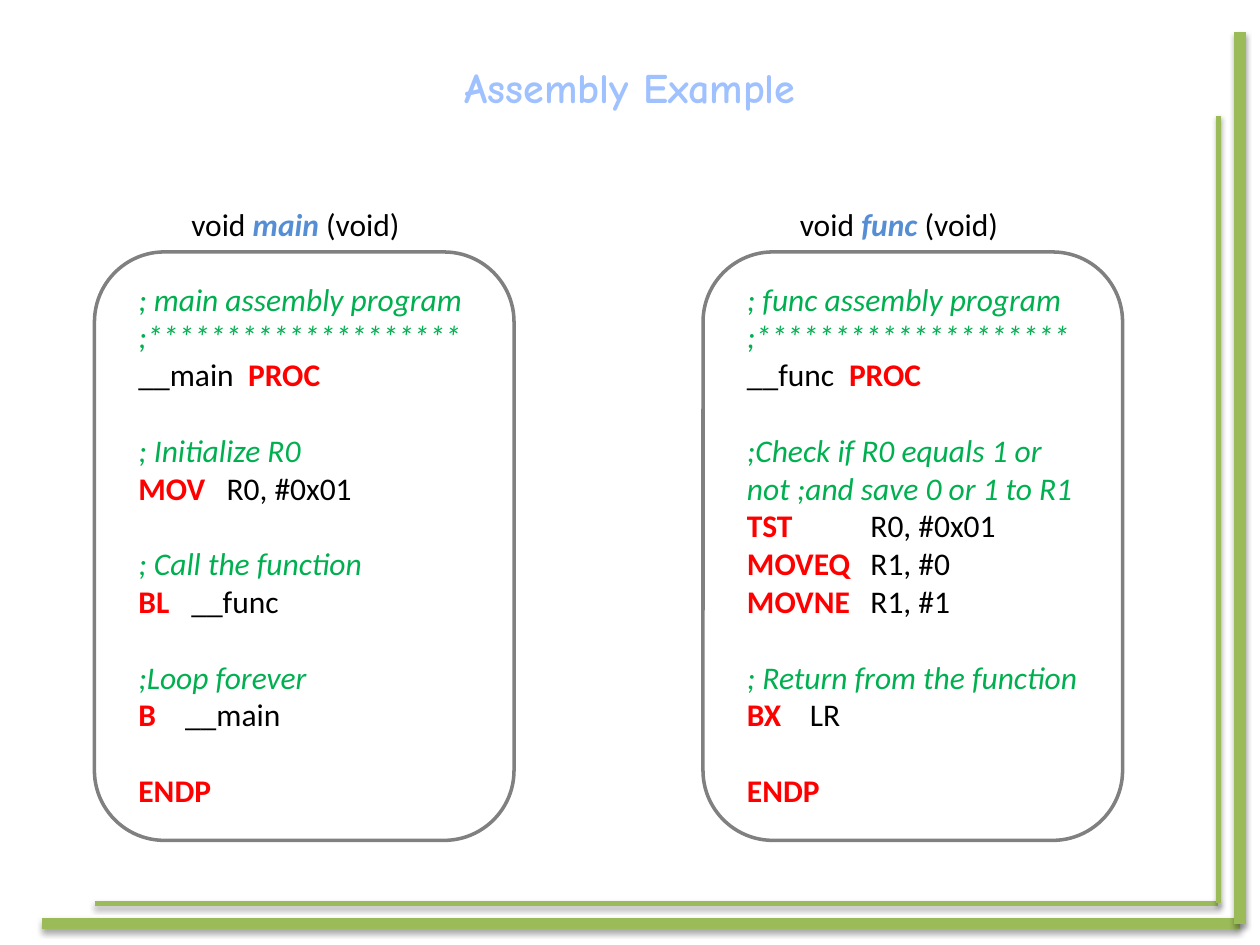
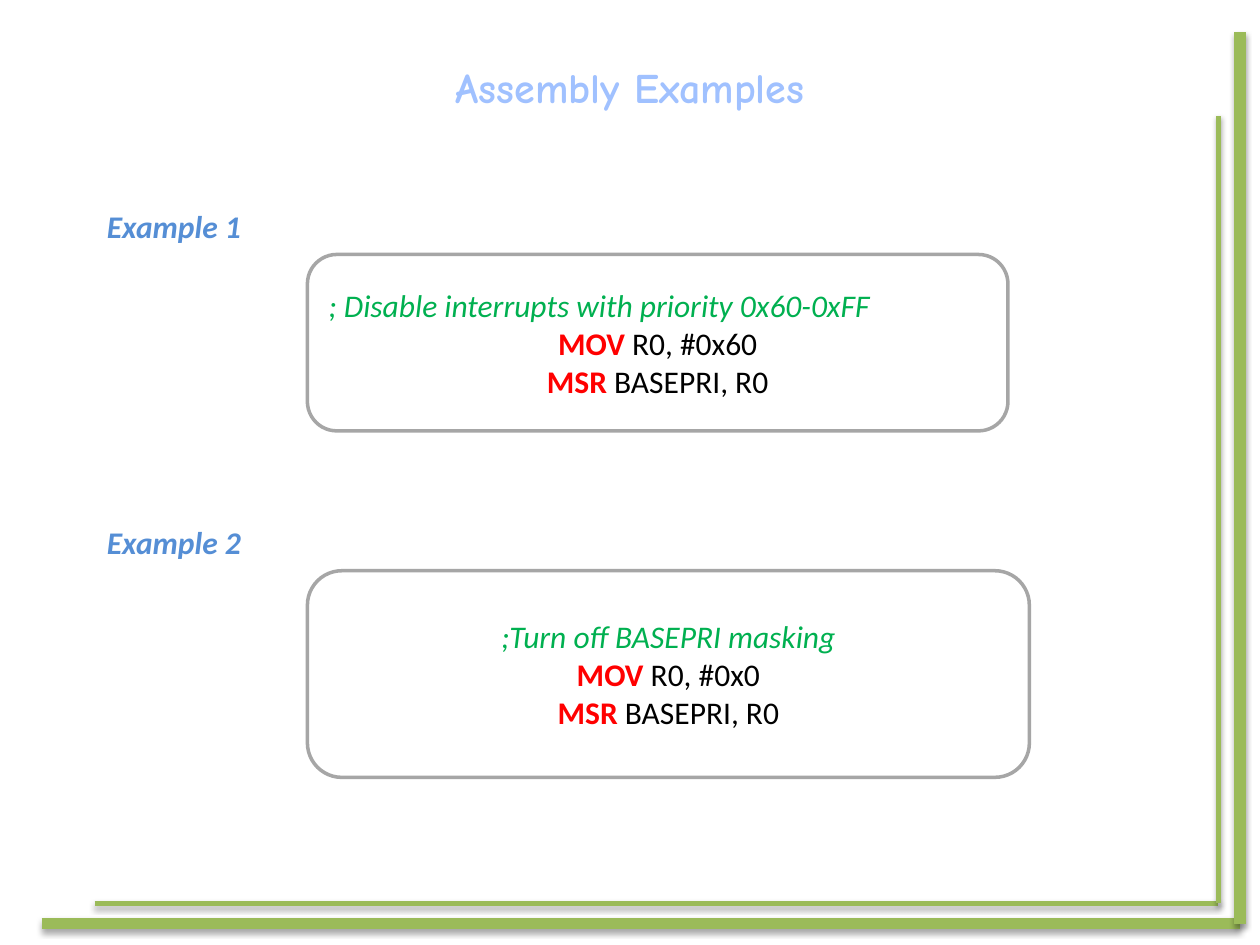
from lxml.etree import SubElement
from pptx import Presentation
from pptx.dml.color import RGBColor
from pptx.enum.shapes import MSO_CONNECTOR, MSO_SHAPE
from pptx.enum.text import MSO_ANCHOR, PP_ALIGN
from pptx.oxml.ns import qn
from pptx.util import Inches, Pt

COLORS = {
    "band": "9BBB59", "title": "A0C1FF", "label": "558ED5",
    "note": "00B050", "code": "FF0000", "plain": "000000",
    "frame": "808080", "edge": "A6A6A6", "paper": "FFFFFF", "shade": "000000",
}
STYLES = {
    "plain": (False, False), "note": (False, True),
    "code": (True, False), "label": (True, True), "title": (True, False),
}
BANDS = [
    (0.75, 7.17, 9.67, 7.17, 3),
    (0.33, 7.33, 9.84, 7.33, 6.75),
    (9.84, 7.33, 9.84, 0.25, 6.75),
    (9.67, 7.17, 9.67, 0.92, 3),
]
LINE_GAP = 21.6
STARS = ";" + "*" * 20


def color(name):
    return RGBColor.from_string(COLORS[name])


def note(text, gap=False):
    return [("note", text)], gap, None


def code(word, rest="", tab=None, gap=False):
    middle = "\t" if tab else " "
    runs = [("code", word)]
    if rest:
        runs.append(("plain", middle + rest))
    return runs, gap, tab


def proc(name, tab):
    return [("plain", name + "\t"), ("code", "PROC")], False, tab


def add_tab(para, place):
    stops = SubElement(para._p.get_or_add_pPr(), qn("a:tabLst"))
    SubElement(stops, qn("a:tab"), pos=str(Inches(place)), algn="l")


def write(para, runs, size=18, font="Calibri"):
    for kind, text in runs:
        run = para.add_run()
        run.text = text
        run.font.name, run.font.size = font, Pt(size)
        run.font.bold, run.font.italic = STYLES[kind]
        run.font.color.rgb = color(kind)


def write_lines(frame, lines, aligns=None):
    for i, (runs, gap, tab) in enumerate(lines):
        para = frame.paragraphs[0] if i == 0 else frame.add_paragraph()
        para.alignment = aligns[i] if aligns else PP_ALIGN.LEFT
        if gap:
            para.space_before = Pt(LINE_GAP)
        if tab:
            add_tab(para, tab)
        write(para, runs)


def add_text(slide, left, top, width, height):
    box = slide.shapes.add_textbox(*map(Inches, (left, top, width, height)))
    box.text_frame.word_wrap = True
    return box.text_frame


def add_label(slide, left, top, width, runs):
    write(add_text(slide, left, top, width, 0.4).paragraphs[0], runs)


def add_frame(slide, box, edge, fill=None):
    shape = slide.shapes.add_shape(MSO_SHAPE.ROUNDED_RECTANGLE, *map(Inches, box))
    shape.shadow.inherit = False
    shape.line.color.rgb = color(edge)
    shape.line.width = Pt(2)
    if fill:
        shape.fill.solid()
        shape.fill.fore_color.rgb = color(fill)
    else:
        shape.fill.background()
    return shape


def add_band(slide, x1, y1, x2, y2, width):
    band = slide.shapes.add_connector(
        MSO_CONNECTOR.STRAIGHT, *map(Inches, (x1, y1, x2, y2)))
    band.line.color.rgb = color("band")
    band.line.width = Pt(width)
    effects = SubElement(band._element.spPr, qn("a:effectLst"))
    shade = SubElement(
        effects, qn("a:outerShdw"), blurRad=str(Pt(3.1)), dist=str(Pt(1.8)),
        dir="5400000", rotWithShape="0")
    tone = SubElement(shade, qn("a:srgbClr"), val=COLORS["shade"])
    SubElement(tone, qn("a:alpha"), val="35000")


def start_slide(deck, title):
    slide = deck.slides.add_slide(deck.slide_layouts[6])
    for band in BANDS:
        add_band(slide, *band)
    para = add_text(slide, 3, 0.44, 4, 0.5).paragraphs[0]
    para.alignment = PP_ALIGN.CENTER
    write(para, [("title", title)], 24, "Comic Neue")
    return slide


def add_listing(slide, left, top, width, name, lines):
    add_frame(slide, (left, top, 3.33, 4.67), "frame")
    write_lines(add_text(slide, left + 0.25, top + 0.17, width, 4.34), lines)
    add_label(slide, left + 0.67, top - 0.42, 2,
              [("plain", "void "), ("label", name + " "), ("plain", "(void)")])


def add_sample(slide, top, size, name, lines, first):
    box = add_frame(slide, (2.44, top, *size), "edge", "paper")
    frame = box.text_frame
    frame.word_wrap = True
    frame.vertical_anchor = MSO_ANCHOR.MIDDLE
    write_lines(frame, lines, [first, PP_ALIGN.CENTER, PP_ALIGN.CENTER])
    add_label(slide, 0.75, top - 0.43, 1.5, [("label", name)])


def build_listings(deck):
    slide = start_slide(deck, "Assembly Example")
    add_listing(slide, 0.75, 2, 3.08, "main", [
        note("; main assembly program"),
        note(STARS),
        proc("__main", 0.87),
        note("; Initialize R0", gap=True),
        code("MOV", "R0, #0x01", 0.7),
        note("; Call the function", gap=True),
        code("BL", "__func", 0.42),
        note(";Loop forever", gap=True),
        code("B", "__main", 0.37),
        code("ENDP", gap=True),
    ])
    add_listing(slide, 5.58, 2, 3.42, "func", [
        note("; func assembly program"),
        note(STARS),
        proc("__func", 0.81),
        note(";Check if R0 equals 1 or not ;and save 0 or 1 to R1", gap=True),
        code("TST", "R0, #0x01", 0.98),
        code("MOVEQ", "R1, #0", 0.98),
        code("MOVNE", "R1, #1", 0.98),
        note("; Return from the function", gap=True),
        code("BX", "LR", 0.5),
        code("ENDP", gap=True),
    ])


def build_samples(deck):
    slide = start_slide(deck, "Assembly Examples")
    add_sample(slide, 2.02, (5.56, 1.4), "Example 1", [
        note("; Disable interrupts with priority 0x60-0xFF"),
        code("MOV", "R0, #0x60"),
        code("MSR", "BASEPRI, R0"),
    ], PP_ALIGN.LEFT)
    add_sample(slide, 4.53, (5.73, 1.64), "Example 2", [
        note(";Turn off BASEPRI masking"),
        code("MOV", "R0, #0x0"),
        code("MSR", "BASEPRI, R0"),
    ], PP_ALIGN.CENTER)


def main():
    deck = Presentation()
    deck.slide_width, deck.slide_height = Inches(10), Inches(7.5)
    build_listings(deck)
    build_samples(deck)
    deck.save("out.pptx")


if __name__ == "__main__":
    main()
